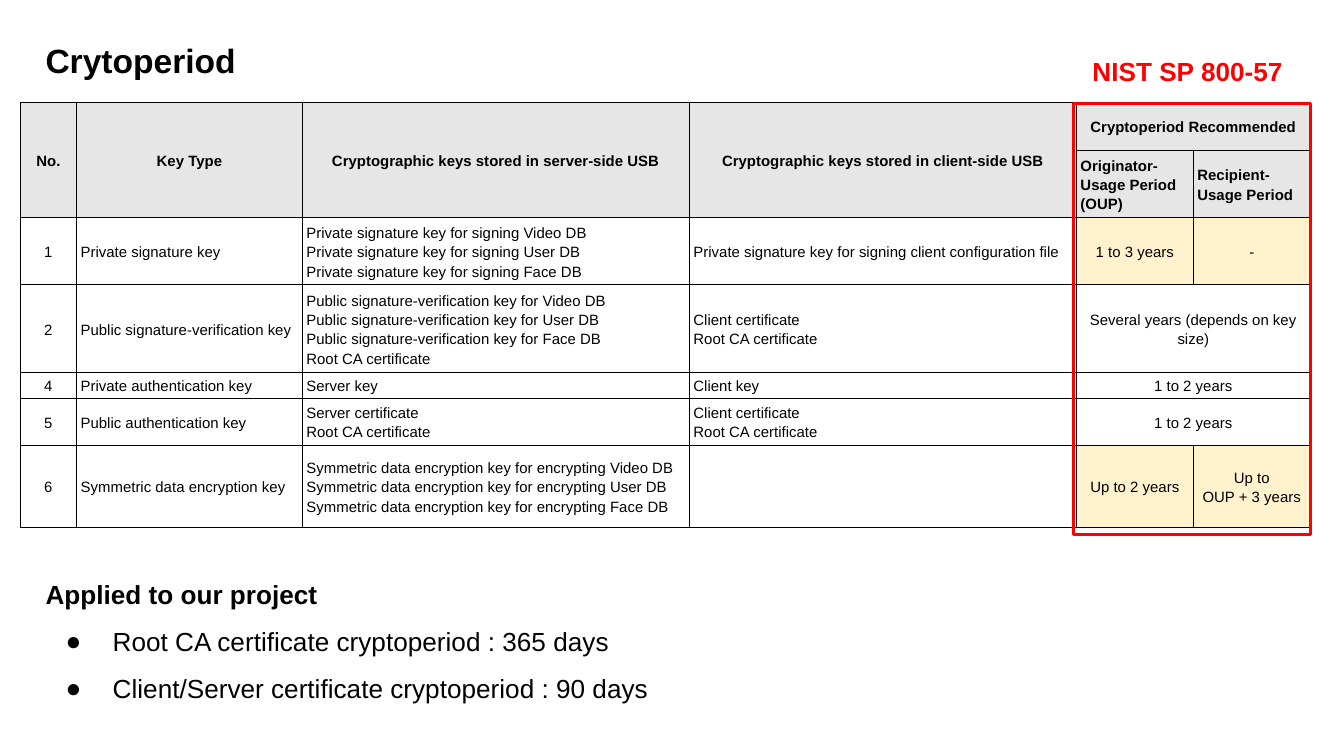
from dataclasses import dataclass

from lxml.etree import SubElement
from pptx import Presentation
from pptx.dml.color import RGBColor
from pptx.enum.shapes import MSO_SHAPE
from pptx.enum.text import MSO_ANCHOR, PP_ALIGN
from pptx.oxml.ns import qn
from pptx.util import Inches, Pt


@dataclass(frozen=True)
class Theme:
    font: str = "Arial"
    ink: RGBColor = RGBColor(0, 0, 0)
    accent: RGBColor = RGBColor(255, 0, 0)
    header: RGBColor = RGBColor(0xE7, 0xE6, 0xE6)
    highlight: RGBColor = RGBColor(0xFF, 0xF2, 0xCC)
    title_size: int = 18
    body_size: int = 14
    table_size: int = 8


THEME = Theme()
PAGE_WIDTH = 10
PAGE_HEIGHT = PAGE_WIDTH * 9 / 16
COLUMN_WIDTHS = [0.42, 1.68, 2.88, 2.88, 0.87, 0.87]
ROW_HEIGHTS = [0.36, 0.5, 0.5, 0.65, 0.19, 0.35, 0.61]
HEADER_ROWS = 2
# None marks a cell covered by a merge; a line break starts a new paragraph.
ROWS = [
    ["No.", "Key Type", "Cryptographic keys stored in server-side USB",
     "Cryptographic keys stored in client-side USB", "Cryptoperiod Recommended", None],
    [None, None, None, None, "Originator-Usage Period (OUP)", "Recipient-Usage Period"],
    ["1", "Private signature key",
     "Private signature key for signing Video DB\n"
     "Private signature key for signing User DB\n"
     "Private signature key for signing Face DB",
     "Private signature key for signing client configuration file", "1 to 3 years", "-"],
    ["2", "Public signature-verification key",
     "Public signature-verification key for Video DB\n"
     "Public signature-verification key for User DB\n"
     "Public signature-verification key for Face DB\nRoot CA certificate",
     "Client certificate\nRoot CA certificate", "Several years (depends on key size)", None],
    ["4", "Private authentication key", "Server key", "Client key", "1 to 2 years", None],
    ["5", "Public authentication key", "Server certificate\nRoot CA certificate",
     "Client certificate\nRoot CA certificate", "1 to 2 years", None],
    ["6", "Symmetric data encryption key",
     "Symmetric data encryption key for encrypting Video DB\n"
     "Symmetric data encryption key for encrypting User DB\n"
     "Symmetric data encryption key for encrypting Face DB",
     "", "Up to 2 years", "Up to\nOUP + 3 years"],
]


def apply_format(target, values):
    for name, value in values.items():
        setattr(target, name, value)


def add_span(para, text, size, bold=False, color=THEME.ink):
    span = para.add_run()
    span.text = text
    apply_format(span.font, {"name": THEME.font, "size": Pt(size), "bold": bold})
    span.font.color.rgb = color


def add_bullet(para):
    properties = para._p.get_or_add_pPr()
    for name, length in {"marL": 0.5, "indent": -0.35}.items():
        properties.set(name, str(int(Inches(length))))
    color = SubElement(properties, qn("a:buClr"))
    SubElement(color, qn("a:srgbClr"), val=str(THEME.ink))
    SubElement(properties, qn("a:buSzPts"), val=str(THEME.body_size * 100))
    SubElement(properties, qn("a:buFont"), typeface=THEME.font)
    SubElement(properties, qn("a:buChar"), char="●")


def add_text_box(page, place):
    frame = page.shapes.add_textbox(*map(Inches, place)).text_frame
    margins = ("margin_left", "margin_top", "margin_right", "margin_bottom")
    apply_format(frame, {"word_wrap": True, **dict.fromkeys(margins, Inches(0.1))})
    return frame


def add_heading(page, place, text, size, color=THEME.ink):
    add_span(add_text_box(page, place).paragraphs[0], text, size, True, color)


def add_project_periods(page, place, heading, items):
    frame = add_text_box(page, place)
    for index, text in enumerate([heading, *items]):
        para = frame.add_paragraph() if index else frame.paragraphs[0]
        para.line_spacing = 1.5
        if index:
            add_bullet(para)
        add_span(para, text, THEME.body_size, bold=index == 0)


def set_borders(cell):
    properties = cell._tc.get_or_add_tcPr()
    for position, side in enumerate(("a:lnL", "a:lnR", "a:lnT", "a:lnB")):
        line = SubElement(properties, qn(side), w=str(int(Pt(0.75))))
        fill = SubElement(line, qn("a:solidFill"))
        SubElement(fill, qn("a:srgbClr"), val=str(THEME.ink))
        properties.insert(position, line)


def fill_cell(cell, color):
    if color is None:
        cell.fill.background()
    else:
        cell.fill.solid()
        cell.fill.fore_color.rgb = color


def cell_color(row, column):
    if row < HEADER_ROWS:
        return THEME.header
    split_period = column >= 4 and ROWS[row][5] is not None
    return THEME.highlight if split_period else None


def cell_alignment(row, column):
    centred = row == 0 or column == 0 or (row >= HEADER_ROWS and column >= 4)
    return PP_ALIGN.CENTER if centred else PP_ALIGN.LEFT


def write_cell(cell, text, bold, alignment):
    for index, line in enumerate(text.split("\n")):
        para = cell.text_frame.add_paragraph() if index else cell.text_frame.paragraphs[0]
        apply_format(para, {"alignment": alignment, "line_spacing": 1.15})
        if line:
            add_span(para, line, THEME.table_size, bold)


def add_key_table(page, left, top):
    size = sum(COLUMN_WIDTHS), sum(ROW_HEIGHTS)
    frame = page.shapes.add_table(len(ROWS), len(COLUMN_WIDTHS), *map(Inches, (left, top, *size)))
    table = frame.table
    apply_format(table, {"first_row": False, "horz_banding": False})
    for column, width in zip(table.columns, COLUMN_WIDTHS):
        column.width = Inches(width)
    for row, height in zip(table.rows, ROW_HEIGHTS):
        row.height = Inches(height)
    cell_format = {
        "vertical_anchor": MSO_ANCHOR.MIDDLE,
        "margin_left": Inches(0.03), "margin_right": Inches(0.03),
        "margin_top": Inches(0.02), "margin_bottom": Inches(0.02),
    }
    for row, texts in enumerate(ROWS):
        for column, text in enumerate(texts):
            cell = table.cell(row, column)
            apply_format(cell, cell_format)
            fill_cell(cell, cell_color(row, column))
            set_borders(cell)
            if text is not None:
                write_cell(cell, text, row < HEADER_ROWS, cell_alignment(row, column))
        if texts[5] is None:
            table.cell(row, 4).merge(table.cell(row, 5))
    for column in range(4):
        table.cell(0, column).merge(table.cell(1, column))


def add_outline(page, place):
    box = page.shapes.add_shape(MSO_SHAPE.RECTANGLE, *map(Inches, place))
    box.shadow.inherit = False
    box.fill.background()
    box.line.color.rgb = THEME.accent
    box.line.width = Pt(1.5)


def main():
    deck = Presentation()
    apply_format(deck, {"slide_width": Inches(PAGE_WIDTH), "slide_height": Inches(PAGE_HEIGHT)})
    page = deck.slides.add_slide(deck.slide_layouts[6])
    add_heading(page, (0.24, 0.2, 7.92, 0.5), "Crytoperiod", THEME.title_size)
    add_project_periods(page, (0.24, 4.09, 6.45, 1.14), "Applied to our project", [
        "Root CA certificate cryptoperiod : 365 days",
        "Client/Server certificate cryptoperiod : 90 days",
    ])
    add_heading(page, (8.03, 0.31, 1.69, 0.44), "NIST SP 800-57", THEME.body_size, THEME.accent)
    add_key_table(page, 0.15, 0.76)
    add_outline(page, (7.99, 0.77, 1.76, 3.21))
    deck.save("out.pptx")


if __name__ == "__main__":
    main()
